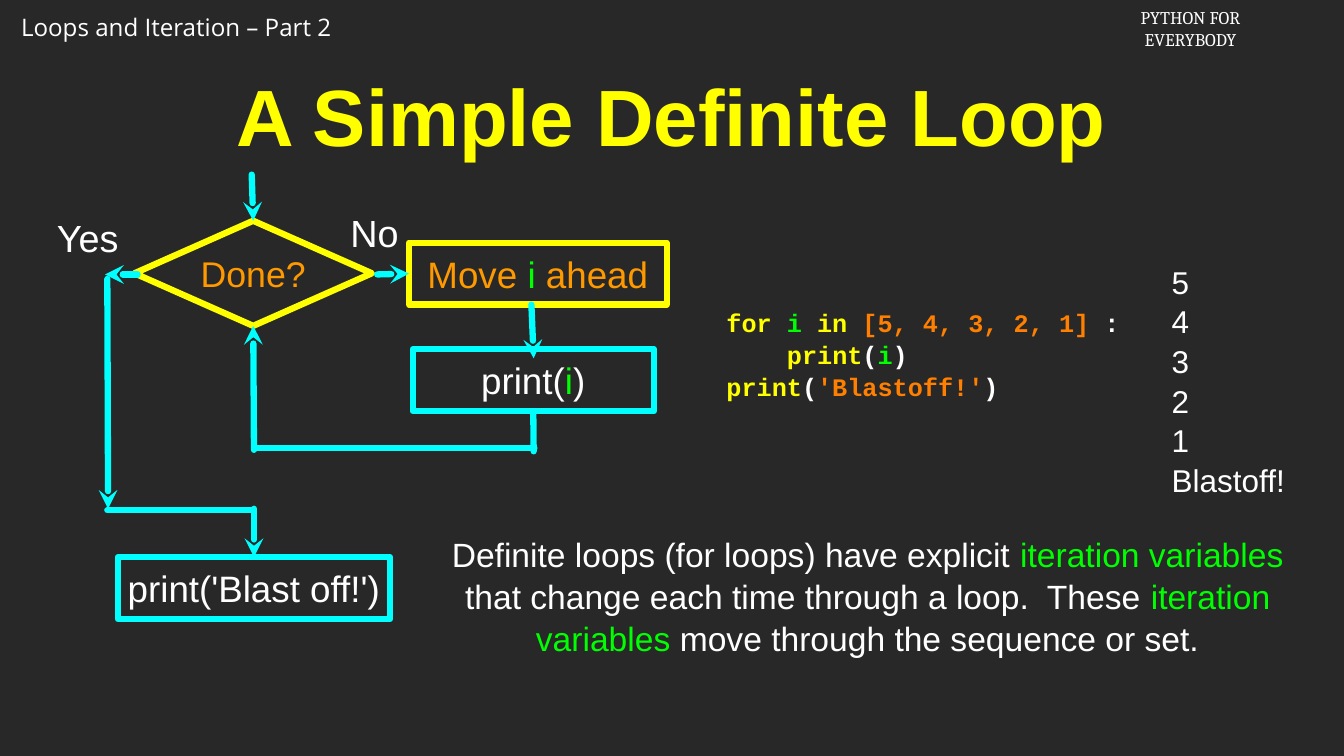
from dataclasses import dataclass

from lxml import etree
from pptx import Presentation
from pptx.dml.color import RGBColor
from pptx.enum.shapes import MSO_CONNECTOR, MSO_SHAPE
from pptx.enum.text import MSO_ANCHOR, MSO_AUTO_SIZE, PP_ALIGN
from pptx.oxml.ns import qn
from pptx.util import Pt

STRAIGHT = MSO_CONNECTOR.STRAIGHT
DIAMOND, RECT = MSO_SHAPE.DIAMOND, MSO_SHAPE.RECTANGLE
LEFT, CENTER = PP_ALIGN.LEFT, PP_ALIGN.CENTER
TOP, MIDDLE = MSO_ANCHOR.TOP, MSO_ANCHOR.MIDDLE
NO_FIT, FIT_SHAPE = MSO_AUTO_SIZE.NONE, MSO_AUTO_SIZE.SHAPE_TO_FIT_TEXT
TOP_SIDE, LEFT_SIDE, BOTTOM_SIDE = 0, 1, 2
EMU_PER_PX = 9144


@dataclass(frozen=True)
class Theme:
    bg: str = "282828"
    white: str = "FFFFFF"
    yellow: str = "FFFF00"
    cyan: str = "00FFFF"
    green: str = "00FF00"
    orange: str = "FF9900"
    literal: str = "FF7F00"
    sans: str = "Arial"
    mono: str = "Courier New"
    chapter_font: str = "Open Sans"
    course_font: str = "Cambria"
    title: int = 76
    label: int = 36
    box: int = 35
    decision: int = 34
    body: int = 32
    output: int = 30
    code: int = 24
    chapter: int = 23
    course: int = 17
    line: int = 6
    spacing: float = 1.05


T = Theme()


def px(n):
    return n * EMU_PER_PX


def rgb(color):
    return RGBColor.from_string(color)


def write(tf, lines, size, font=T.sans, align=CENTER, bold=False, spacing=None):
    for i, runs in enumerate(lines):
        p = tf.paragraphs[0] if i == 0 else tf.add_paragraph()
        p.alignment = align
        p.line_spacing = spacing
        for text, color in runs:
            r = p.add_run()
            r.text = text
            r.font.size = Pt(size)
            r.font.name = font
            r.font.bold = bold
            r.font.color.rgb = rgb(color)


def set_frame(tf, inset=(0, 0), anchor=MIDDLE, wrap=True, fit=NO_FIT):
    tf.margin_left = tf.margin_right = px(inset[0])
    tf.margin_top = tf.margin_bottom = px(inset[1])
    tf.vertical_anchor = anchor
    tf.auto_size = fit
    tf.word_wrap = wrap


def add_title(s, box, text):
    sp = s.shapes.title
    sp.left, sp.top, sp.width, sp.height = map(px, box)
    set_frame(sp.text_frame, (4, 4))
    write(sp.text_frame, [[(text, T.yellow)]], T.title, bold=True)


def add_text(s, box, lines, size, **style):
    tf = s.shapes.add_textbox(*map(px, box)).text_frame
    set_frame(tf)
    write(tf, lines, size, **style)


def add_header(s, box, texts, size, font, align):
    tf = s.shapes.add_textbox(*map(px, box)).text_frame
    set_frame(tf, (10, 5), TOP, False, FIT_SHAPE)
    write(tf, [[(text, T.white)] for text in texts], size, font, align)


def style_line(line, color):
    line.color.rgb = rgb(color)
    line.width = Pt(T.line)


def add_node(s, kind, box, color, runs, size=T.box):
    sp = s.shapes.add_shape(kind, *map(px, box))
    sp.shadow.inherit = False
    sp.fill.background()
    style_line(sp.line, color)
    set_frame(sp.text_frame)
    write(sp.text_frame, [runs], size)
    return sp


def add_flow(s, start, end, begin_at=None, end_at=None, arrow=True):
    cx = s.shapes.add_connector(STRAIGHT, *map(px, start + end))
    style_line(cx.line, T.cyan)
    if begin_at:
        cx.begin_connect(*begin_at)
    if end_at:
        cx.end_connect(*end_at)
    ln = cx.line._get_or_add_ln()
    ln.set("cap", "rnd")
    etree.SubElement(ln, qn("a:round"))
    if arrow:
        etree.SubElement(ln, qn("a:tailEnd"), type="stealth")
    etree.SubElement(cx._element.spPr, qn("a:effectLst"))


def add_flowchart(s):
    done = add_node(s, DIAMOND, (178, 292, 314, 139), T.yellow,
                    [("Done?", T.orange)], T.decision)
    blast = add_node(s, RECT, (156, 737, 360, 82), T.cyan,
                     [("print('Blast off!')", T.white)])
    show = add_node(s, RECT, (546, 462, 319, 82), T.cyan,
                    [("print(", T.white), ("i", T.green), (")", T.white)])
    move = add_node(s, RECT, (541, 321, 341, 82), T.yellow,
                    [("Move ", T.orange), ("i", T.green), (" ahead", T.orange)])

    add_flow(s, (333, 231), (335, 292), end_at=(done, TOP_SIDE))
    add_flow(s, (499, 363), (541, 362), end_at=(move, LEFT_SIDE))
    add_flow(s, (703, 403), (706, 474))
    add_flow(s, (706, 544), (706, 597), begin_at=(show, BOTTOM_SIDE), arrow=False)
    add_flow(s, (707, 593), (336, 593), arrow=False)
    add_flow(s, (336, 595), (335, 431), end_at=(done, BOTTOM_SIDE))
    add_flow(s, (182, 363), (139, 363))
    add_flow(s, (142, 369), (143, 673))
    add_flow(s, (142, 675), (334, 675), arrow=False)
    add_flow(s, (336, 673), (336, 737), end_at=(blast, TOP_SIDE))

    add_text(s, (71, 280, 90, 68), [[("Yes", T.white)]], T.label)
    add_text(s, (456, 273, 79, 68), [[("No", T.white)]], T.label)


def add_program(s):
    code = [
        [("for ", T.yellow), ("i ", T.green), ("in ", T.yellow),
         ("[5, 4, 3, 2, 1] ", T.literal), (":", T.white)],
        [("    ", T.white), ("print", T.yellow), ("(", T.white),
         ("i", T.green), (")", T.white)],
        [("print", T.yellow), ("(", T.white), ("'Blastoff!'", T.literal),
         (")", T.white)],
    ]
    add_text(s, (961, 377, 558, 182), code, T.code, font=T.mono, align=LEFT,
             bold=True, spacing=T.spacing)
    output = [[(text, T.white)] for text in ("5", "4", "3", "2", "1", "Blastoff!")]
    add_text(s, (1550, 326, 182, 353), output, T.output, align=LEFT,
             spacing=T.spacing)


def main():
    prs = Presentation()
    prs.slide_width, prs.slide_height = px(1778), px(1000)
    s = prs.slides.add_slide(prs.slide_layouts[5])
    s.background.fill.solid()
    s.background.fill.fore_color.rgb = rgb(T.bg)

    add_header(s, (18, 12, 452, 49), ["Loops and Iteration – Part 2"],
               T.chapter, T.chapter_font, LEFT)
    add_header(s, (1488, 4, 174, 67), ["PYTHON FOR", "EVERYBODY"],
               T.course, T.course_font, CENTER)
    add_title(s, (126, 89, 1524, 124), "A Simple Definite Loop")
    add_flowchart(s)
    add_program(s)
    summary = [
        ("Definite loops (for loops) have explicit ", T.white),
        ("iteration variables ", T.green),
        ("that change each time through a loop.  These ", T.white),
        ("iteration variables", T.green),
        (" move through the sequence or set.", T.white),
    ]
    add_text(s, (594, 696, 1108, 182), [summary], T.body, spacing=T.spacing)
    prs.save("out.pptx")


if __name__ == "__main__":
    main()
